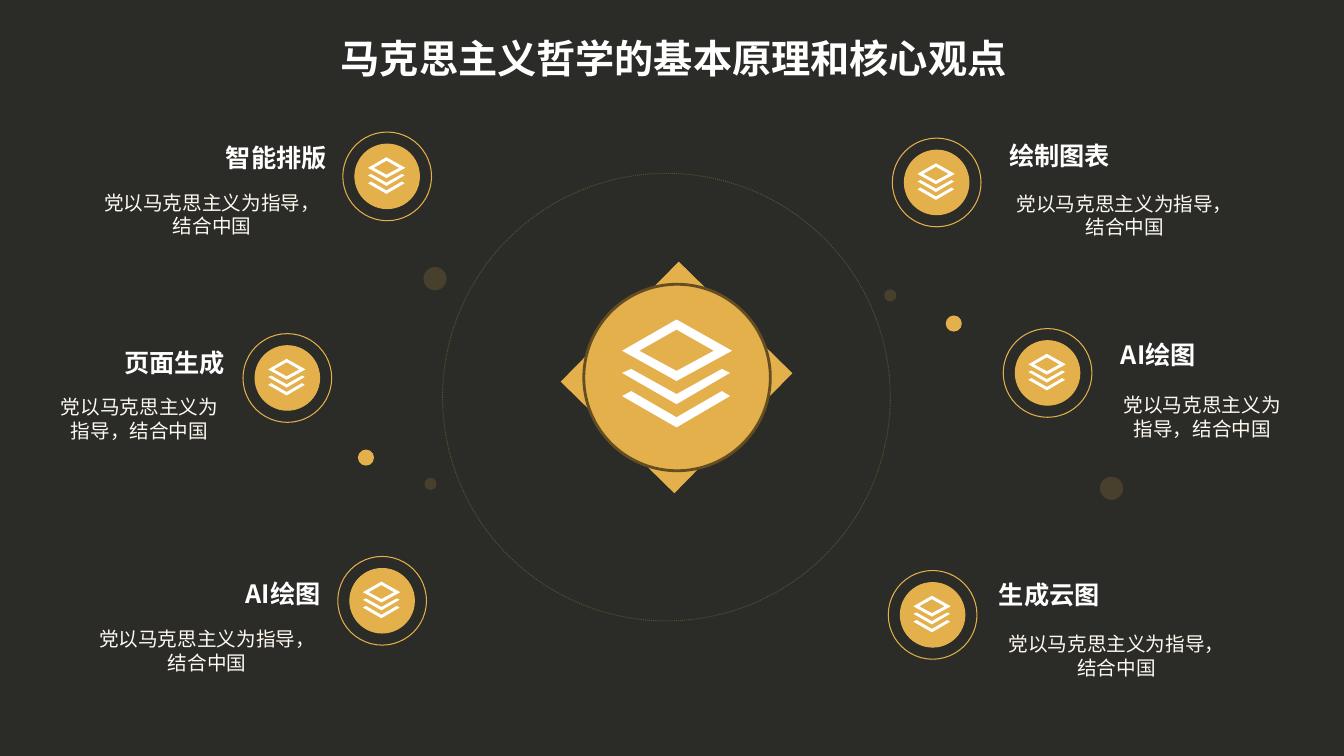
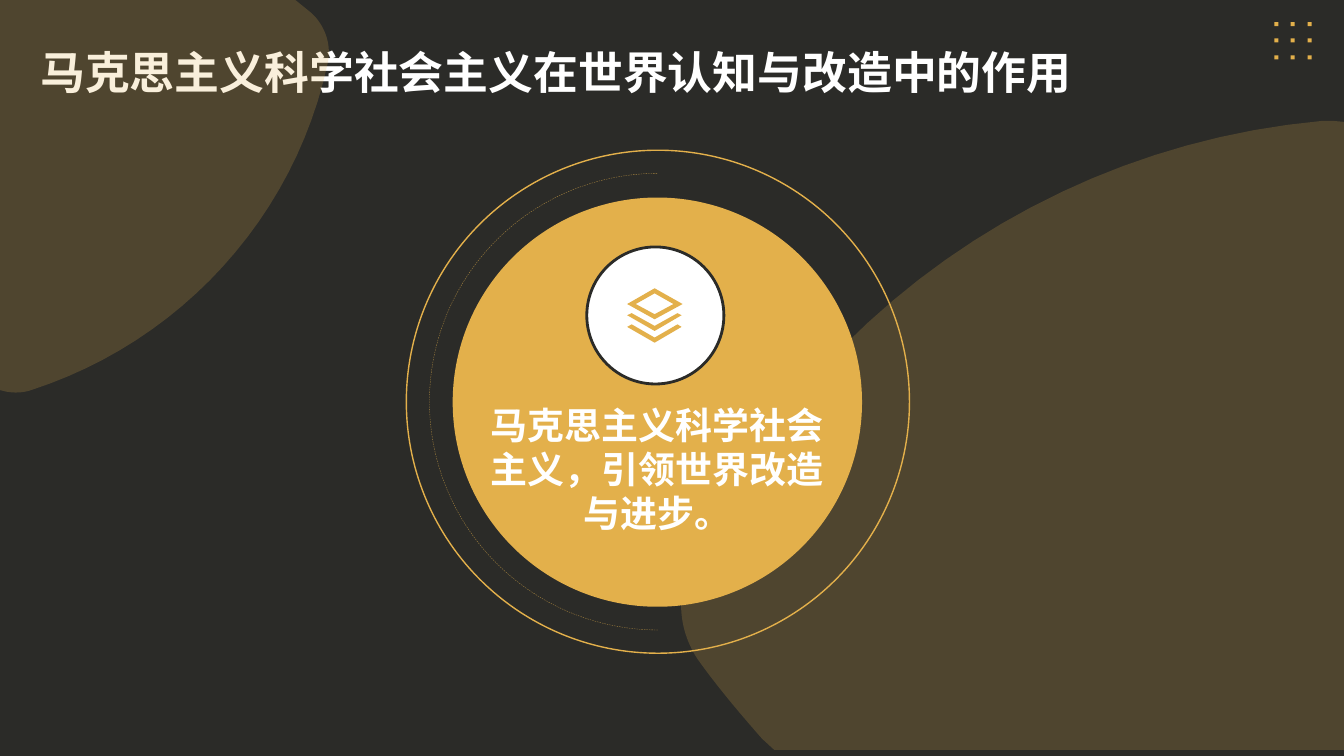
from dataclasses import dataclass

from lxml import etree
from pptx import Presentation
from pptx import util as u
from pptx.dml.color import RGBColor
from pptx.enum import dml, shapes, text
from pptx.oxml.ns import qn

PX = 9144
LAYERS_WIDTH = 109
LAYERS = [
    [(99, 71), (107, 76), (54, 107), (0, 76), (9, 71), (54, 97)],
    [(99, 49), (107, 53), (54, 84), (0, 53), (9, 49), (54, 74)],
    [(54, 0), (109, 31), (54, 61), (0, 31)],
    [(54, 10), (17, 31), (54, 51), (91, 31)],
]


@dataclass(frozen=True)
class Theme:
    font: str = "Noto Sans CJK SC"
    ground: str = "2B2B28"
    gold: str = "E3B04B"
    rim: str = "634D21"
    white: str = "FFFFFF"
    cream: str = "FFFAF0"
    title: float = 28
    large_title: float = 32
    statement: float = 26.4
    heading: float = 18
    body: float = 14


THEME = Theme()
ALIGN = text.PP_ALIGN
ANCHOR = text.MSO_ANCHOR
SHAPE = shapes.MSO_SHAPE


def write(frame, words, size, color=THEME.white, bold=True, align=ALIGN.LEFT,
          anchor=ANCHOR.MIDDLE, insets=(10, 5), spacing=None):
    frame.word_wrap = True
    frame.auto_size = text.MSO_AUTO_SIZE.NONE
    frame.vertical_anchor = anchor
    frame.margin_left = frame.margin_right = insets[0] * PX
    frame.margin_top = frame.margin_bottom = insets[1] * PX
    for index, line in enumerate(words.split("\n")):
        para = frame.add_paragraph() if index else frame.paragraphs[0]
        para.alignment = align
        if spacing:
            para.line_spacing = spacing
        span = para.add_run()
        span.text = line
        span.font.name = THEME.font
        span.font.size = u.Pt(size)
        span.font.bold = bold
        span.font.color.rgb = RGBColor.from_string(color)


def fade(holder, percent):
    color = holder.find(qn("a:solidFill")).find(qn("a:srgbClr"))
    etree.SubElement(color, qn("a:alpha"), val=str(percent * 1000))


def curve(start, first, second, end, steps=24):
    points = []
    for step in range(1, steps + 1):
        t = step / steps
        weights = ((1 - t) ** 3, 3 * t * (1 - t) ** 2, 3 * t * t * (1 - t), t ** 3)
        points.append(tuple(
            sum(w * p[axis] for w, p in zip(weights, (start, first, second, end)))
            for axis in (0, 1)))
    return points


class Canvas:
    def __init__(self):
        self.deck = Presentation()
        self.deck.slide_width = 1333 * PX
        self.deck.slide_height = 750 * PX
        ground = self.deck.slide_master.background.fill
        ground.solid()
        ground.fore_color.rgb = RGBColor.from_string(THEME.ground)
        self.page = None

    def start(self):
        self.page = self.deck.slides.add_slide(self.deck.slide_layouts[5])

    def title(self, words, x, y, width, height, **style):
        box = self.page.shapes.title
        box.left, box.top, box.width, box.height = (
            v * PX for v in (x, y, width, height))
        write(box.text_frame, words, **style)

    def label(self, words, x, y, width, height, **style):
        box = self.page.shapes.add_textbox(*(v * PX for v in (x, y, width, height)))
        write(box.text_frame, words, **style)

    def paint(self, shape, fill=None, line=None, weight=0.75, dash=None,
              fill_alpha=None, line_alpha=None):
        shape.shadow.inherit = False
        if fill:
            shape.fill.solid()
            shape.fill.fore_color.rgb = RGBColor.from_string(fill)
            if fill_alpha:
                fade(shape._element.spPr, fill_alpha)
        else:
            shape.fill.background()
        if line:
            shape.line.color.rgb = RGBColor.from_string(line)
            shape.line.width = u.Pt(weight)
            if dash:
                shape.line.dash_style = dash
            if line_alpha:
                fade(shape._element.spPr.find(qn("a:ln")), line_alpha)
        else:
            shape.line.fill.background()
        return shape

    def shape(self, kind, x, y, width, height, **look):
        shape = self.page.shapes.add_shape(
            kind, *(v * PX for v in (x, y, width, height)))
        return self.paint(shape, **look)

    def circle(self, x, y, size, **look):
        return self.shape(SHAPE.OVAL, x, y, size, size, **look)

    def outline(self, contours, x=0, y=0, scale=1, **look):
        fine = [[(a * 100, b * 100) for a, b in contour] for contour in contours]
        builder = self.page.shapes.build_freeform(*fine[0][0], scale=scale * PX / 100)
        for index, contour in enumerate(fine):
            if index:
                builder.move_to(*contour[0])
            builder.add_line_segments(contour[1:], close=True)
        return self.paint(builder.convert_to_shape(x * PX, y * PX), **look)

    def layers(self, x, y, width, color):
        self.outline(LAYERS, x, y, width / LAYERS_WIDTH, fill=color)

    def badge(self, x, y):
        self.circle(x, y, 88, line=THEME.gold)
        self.circle(x + 12, y + 12, 64, fill=THEME.gold, line=THEME.gold)
        self.layers(x + 25, y + 25, 37, THEME.white)


def principles(canvas):
    canvas.start()
    canvas.title("马克思主义哲学的基本原理和核心观点", 328, 29, 720, 102,
                 size=THEME.title, anchor=ANCHOR.TOP)
    diamond = canvas.shape(SHAPE.RECTANGLE, 592, 291, 158, 167, fill=THEME.gold)
    diamond.rotation = 44.5
    canvas.circle(579, 282, 185, fill=THEME.gold, line=THEME.rim, weight=2)
    canvas.circle(439, 172, 444, line=THEME.gold, line_alpha=25,
                  dash=dml.MSO_LINE.ROUND_DOT)
    canvas.layers(617, 317, LAYERS_WIDTH, THEME.white)
    for x, y, size, alpha in (
            (1091, 473, 23, 16), (877, 287, 12, 16), (938, 313, 16, None),
            (420, 265, 23, 16), (421, 474, 12, 16), (355, 446, 16, None)):
        canvas.circle(x, y, size, fill=THEME.gold, fill_alpha=alpha)

    detail = "党以马克思主义为指导，结合中国"
    split_detail = "党以马克思主义为\n指导，结合中国"
    right, left = ALIGN.RIGHT, ALIGN.LEFT
    topics = (
        ("智能排版", right, (340, 131), (134, 133, 200), detail, (87, 185, 247, 79)),
        ("页面生成", right, (241, 331), (61, 337, 172), detail, (45, 388, 187, 146)),
        ("AI绘图", right, (335, 552), (128, 566, 200), detail, (82, 618, 247, 79)),
        ("绘制图表", left, (885, 137), (991, 131, 247), detail, (992, 186, 247, 79)),
        ("AI绘图", left, (995, 326), (1102, 329, 247), split_detail,
         (1069, 386, 247, 79)),
        ("生成云图", left, (881, 566), (981, 567, 246), detail, (984, 623, 247, 79)),
    )
    for heading, side, badge, heading_area, body, body_area in topics:
        canvas.badge(*badge)
        canvas.label(heading, *heading_area, 46, size=THEME.heading, align=side)
        canvas.label(body, *body_area, size=THEME.body, color=THEME.cream, bold=False,
                     align=ALIGN.CENTER, anchor=ANCHOR.TOP, insets=(8, 4))


def role(canvas):
    canvas.start()
    grid = []
    for row in range(3):
        for column in range(3):
            x, y = 1264 + column * 33 // 2, 22 + row * 33 // 2
            grid.append([(x, y), (x + 4, y), (x + 4, y + 4), (x, y + 4)])
    canvas.outline(grid, fill=THEME.gold)

    top_blob = [(0, 0), (293, 0), (309, 13)]
    top_blob += curve((309, 13), (323, 26), (329, 45), (325, 63))
    top_blob += curve((325, 63), (292, 216), (179, 339), (31, 387))
    top_blob += curve((31, 387), (22, 390), (12, 390), (4, 388))
    top_blob.append((0, 387))
    side_blob = [(1323, 120), (1333, 121), (1333, 744), (768, 744), (756, 733)]
    side_blob += curve((756, 733), (734, 708), (712, 682), (692, 654))
    side_blob += curve((692, 654), (674, 627), (670, 592), (684, 563))
    side_blob += curve((684, 563), (799, 314), (1038, 145), (1311, 120))
    side_blob += curve((1311, 120), (1315, 120), (1319, 120), (1323, 120))
    for blob in (top_blob, side_blob):
        canvas.outline([blob], fill=THEME.gold, fill_alpha=20)

    canvas.circle(449, 196, 406, fill=THEME.gold)
    canvas.circle(403, 149, 499, line=THEME.gold, weight=1)
    canvas.circle(582, 245, 136, fill=THEME.white, line=THEME.ground, weight=2)
    arc = canvas.shape(SHAPE.ARC, 426, 172, 453, 453, line=THEME.gold, weight=0.25,
                       dash=dml.MSO_LINE.DASH, line_alpha=70)
    arc.adjustments[0] = 54
    arc.adjustments[1] = 162
    canvas.layers(622, 286, 55, THEME.gold)
    canvas.label("马克思主义科学社会主义，引领世界改造与进步。", 477, 392, 350, 146,
                 size=THEME.statement, align=ALIGN.CENTER)
    canvas.title("马克思主义科学社会主义在世界认知与改造中的作用", 30, 26, 1276, 79,
                 size=THEME.large_title, spacing=1.2)


def main():
    canvas = Canvas()
    principles(canvas)
    role(canvas)
    canvas.deck.save("out.pptx")


if __name__ == "__main__":
    main()
